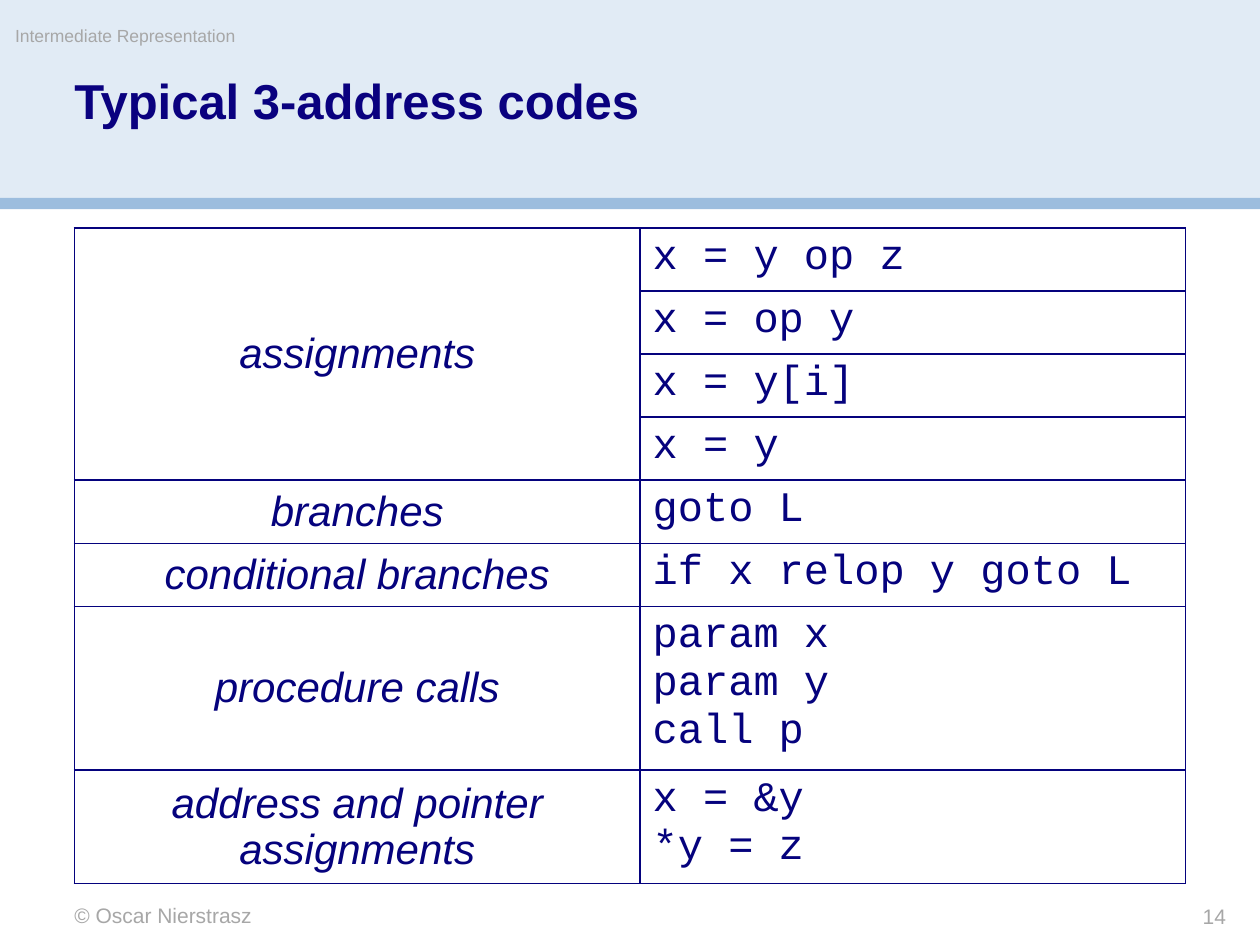
import pptx
import pptx.util
import pptx.dml.color
import pptx.enum.shapes
import pptx.enum.text
import pptx.oxml.ns
from lxml import etree

Inches = pptx.util.Inches
Pt = pptx.util.Pt
ALIGN = pptx.enum.text.PP_ALIGN
ANCHOR = pptx.enum.text.MSO_ANCHOR


def color(code):
    return pptx.dml.color.RGBColor.from_string(code)


class Deck:
    sans, mono = "Arial", "Courier New"
    navy, ink, gray = "0A017F", "05027D", "A7A7A7"
    pale, blue = "E1EBF5", "9CBDDE"

    def __init__(self):
        self.prs = pptx.Presentation()
        self.prs.slide_width = Inches(10)
        self.prs.slide_height = Inches(7.5)
        self.slide = self.prs.slides.add_slide(self.prs.slide_layouts[6])

    def band(self, top, height, fill):
        shape = self.slide.shapes.add_shape(
            pptx.enum.shapes.MSO_SHAPE.RECTANGLE,
            0, Inches(top), self.prs.slide_width, Inches(height))
        shape.shadow.inherit = False
        shape.fill.solid()
        shape.fill.fore_color.rgb = color(fill)
        shape.line.fill.background()

    def run(self, para, text, size, tint, font=sans, bold=False, italic=False):
        run = para.add_run()
        run.text = text
        run.font.size = Pt(size)
        run.font.name = font
        run.font.bold = bold
        run.font.italic = italic
        run.font.color.rgb = color(tint)

    def text(self, box, words, size, tint, bold=False, align=ALIGN.LEFT, wrap=True):
        frame = self.slide.shapes.add_textbox(*map(Inches, box)).text_frame
        frame.margin_left = frame.margin_right = 0
        frame.margin_top = frame.margin_bottom = 0
        frame.word_wrap = wrap
        para = frame.paragraphs[0]
        para.alignment = align
        self.run(para, words, size, tint, bold=bold)
        return para

    def border(self, cell):
        props = cell._tc.get_or_add_tcPr()
        qn = pptx.oxml.ns.qn
        for side in ("a:lnL", "a:lnR", "a:lnT", "a:lnB"):
            line = etree.SubElement(props, qn(side), w=str(Pt(1)))
            fill = etree.SubElement(line, qn("a:solidFill"))
            etree.SubElement(fill, qn("a:srgbClr"), val=self.ink)

    def table(self, left, top, widths, height, groups):
        count = sum(len(codes) for _, codes in groups)
        table = self.slide.shapes.add_table(
            count, len(widths), Inches(left), Inches(top),
            Inches(sum(widths)), Inches(height * count)).table
        table.first_row = table.horz_banding = False
        for col, width in zip(table.columns, widths):
            col.width = Inches(width)
        for row in table.rows:
            row.height = Inches(height)
            for cell in row.cells:
                self.border(cell)
                cell.fill.background()

        first = 0
        for label, codes in groups:
            # Label on the left, spanning its group of codes
            head = table.cell(first, 0)
            if len(codes) > 1:
                head.merge(table.cell(first + len(codes) - 1, 0))
            head.vertical_anchor = ANCHOR.MIDDLE
            para = head.text_frame.paragraphs[0]
            para.alignment = ALIGN.CENTER
            self.run(para, label, 24, self.ink, italic=True)
            # Code on the right, one paragraph per line
            for row, lines in enumerate(codes, first):
                frame = table.cell(row, 1).text_frame
                for num, line in enumerate(lines):
                    para = frame.add_paragraph() if num else frame.paragraphs[0]
                    self.run(para, line, 24, self.ink, self.mono)
            first += len(codes)


def main():
    deck = Deck()

    # Header
    deck.band(0, 1.58, deck.pale)
    deck.band(1.57, 0.09, deck.blue)
    title = deck.text((0.59, 0.61, 8.83, 0.89), "Typical 3-address codes",
                      28, deck.navy, bold=True)
    title.line_spacing = 0.9

    # Table: each label with its rows, each row with its lines
    deck.table(0.59, 1.81, (4.49, 4.33), 0.41, [
        ("assignments", [["x = y op z"], ["x = op y"], ["x = y[i]"], ["x = y"]]),
        ("branches", [["goto L"]]),
        ("conditional branches", [["if x relop y goto L"]]),
        ("procedure calls", [["param x", "param y", "call p"]]),
        ("address and pointer assignments", [["x = &y", "*y = z"]]),
    ])

    # Footer and running head
    deck.text((0.59, 7.16, 4.17, 0.2), "© Oscar Nierstrasz", 12, deck.gray)
    deck.text((0.12, 0.2, 5.9, 0.28), "Intermediate Representation",
              10, deck.gray, wrap=False)
    deck.text((8.25, 7.17, 1.48, 0.2), "14", 12, deck.gray, align=ALIGN.RIGHT)

    deck.prs.save("out.pptx")


if __name__ == "__main__":
    main()
